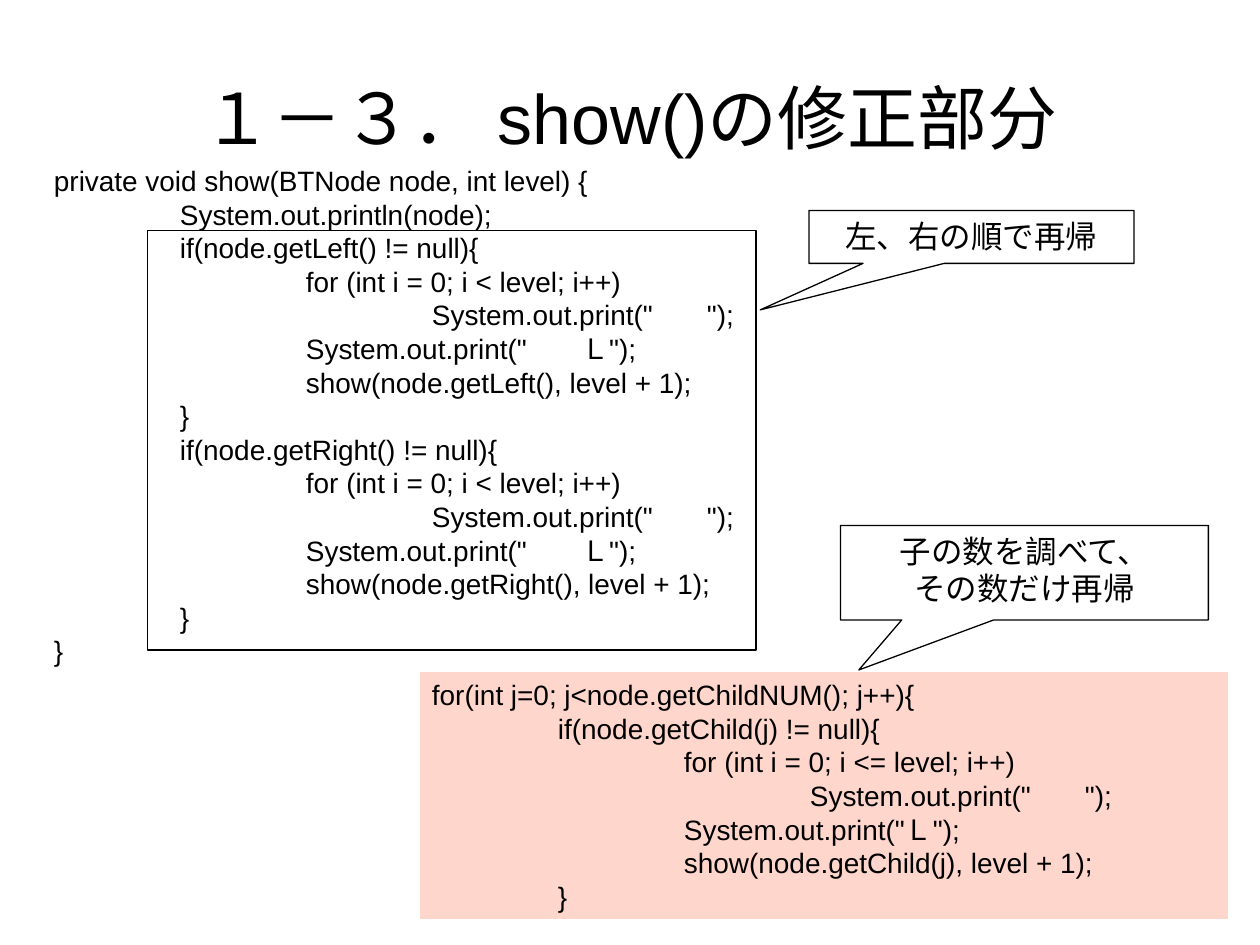
from lxml import etree
from pptx import Presentation
from pptx import util as u
from pptx.dml.color import RGBColor
from pptx.enum import shapes, text
from pptx.oxml.ns import qn

COLORS = {"ink": "000000", "paper": "FFFFFF", "new": "FF3300"}
FONT = "Arial"
TAB_STOPS = (1, 2, 3)
LINE_PITCH = 1.2  # line height as a multiple of the font size

# Code as (depth, line) pairs
PRINT_INDENT = 'System.out.print("       ");'


def branch(side):
    return [
        (1, f"if(node.get{side}() != null){{"),
        (2, "for (int i = 0; i < level; i++)"),
        (3, PRINT_INDENT),
        (2, 'System.out.print("       Ｌ");'),
        (2, f"show(node.get{side}(), level + 1);"),
        (1, "}"),
    ]


OLD_CODE = [
    (0, "private void show(BTNode node, int level) {"),
    (1, "System.out.println(node);"),
    *branch("Left"),
    *branch("Right"),
    (0, "}"),
]
NEW_CODE = [
    (0, "for(int j=0; j<node.getChildNUM(); j++){"),
    (1, "if(node.getChild(j) != null){"),
    (2, "for (int i = 0; i <= level; i++)"),
    (3, PRINT_INDENT),
    (2, 'System.out.print("Ｌ");'),
    (2, "show(node.getChild(j), level + 1);"),
    (1, "}"),
]


def rgb(name):
    return RGBColor.from_string(COLORS[name])


def inches(*lengths):
    return [u.Inches(n) for n in lengths]


def style(p, size, align):
    p.font.size, p.font.name = u.Pt(size), FONT
    p.font.color.rgb = rgb("ink")
    p.alignment = align


def write(sp, lines, size, align):
    tf = sp.text_frame
    tf.word_wrap = True
    tf.vertical_anchor = text.MSO_ANCHOR.TOP
    for i, line in enumerate(lines):
        p = tf.paragraphs[0] if i == 0 else tf.add_paragraph()
        p.text = line
        p.line_spacing = u.Pt(size * LINE_PITCH)
        style(p, size, align)


def write_code(sp, code):
    write(sp, ["\t" * depth + line for depth, line in code], 16, text.PP_ALIGN.LEFT)
    for p in sp.text_frame.paragraphs:
        tabs = etree.Element(qn("a:tabLst"))
        for stop in TAB_STOPS:
            etree.SubElement(tabs, qn("a:tab"), pos=str(u.Inches(stop)), algn="l")
        # Tab stops come before the default run properties
        p._p.pPr.find(qn("a:defRPr")).addprevious(tabs)


def add_box(slide, kind, box, line, width, fill=None, alpha=None):
    sp = slide.shapes.add_shape(kind, *inches(*box))
    sp.shadow.inherit = False
    sp.line.color.rgb, sp.line.width = rgb(line), u.Pt(width)
    if fill is None:
        sp.fill.background()
    else:
        sp.fill.solid()
        sp.fill.fore_color.rgb = rgb(fill)
    if alpha is not None:
        color = sp._element.spPr.find(qn("a:solidFill"))[0]
        etree.SubElement(color, qn("a:alpha"), val=str(alpha * 1000))
    return sp


def add_callout(slide, box, tip, lines):
    sp = add_box(slide, shapes.MSO_SHAPE.RECTANGULAR_CALLOUT, box, "ink", 0.75, "paper")
    for i, share in enumerate(tip):
        sp.adjustments[i] = share
    write(sp, lines, 18, text.PP_ALIGN.CENTER)


def add_title(slide, words):
    sp = slide.shapes.title
    sp.left, sp.top, sp.width, sp.height = inches(0.5, 0.3, 9, 1.25)
    sp.text_frame.text = words
    sp.text_frame.vertical_anchor = text.MSO_ANCHOR.MIDDLE
    style(sp.text_frame.paragraphs[0], 40, text.PP_ALIGN.CENTER)


def main():
    prs = Presentation()
    prs.slide_width, prs.slide_height = inches(10, 7.5)
    slide = prs.slides.add_slide(prs.slide_layouts[5])
    rect = shapes.MSO_SHAPE.RECTANGLE

    add_title(slide, "１－３． show()の修正部分")

    # Current code, then its replacement
    write_code(slide.shapes.add_textbox(*inches(0.33, 1.25, 5.75, 4.1)), OLD_CODE)
    write_code(add_box(slide, rect, (3.33, 5.33, 6.42, 1.97), "paper", 1, "new", 20), NEW_CODE)

    # Frame around the part that changes
    add_box(slide, rect, (1.17, 1.83, 4.83, 3.33), "ink", 0.75)

    # Remarks
    add_callout(slide, (6.42, 1.67, 2.58, 0.42), (-0.65, 1.38), ["左、右の順で再帰"])
    add_callout(slide, (6.67, 4.17, 2.92, 0.75), (-0.45, 1.03),
                ["子の数を調べて、", "その数だけ再帰"])

    prs.save("out.pptx")


if __name__ == "__main__":
    main()
